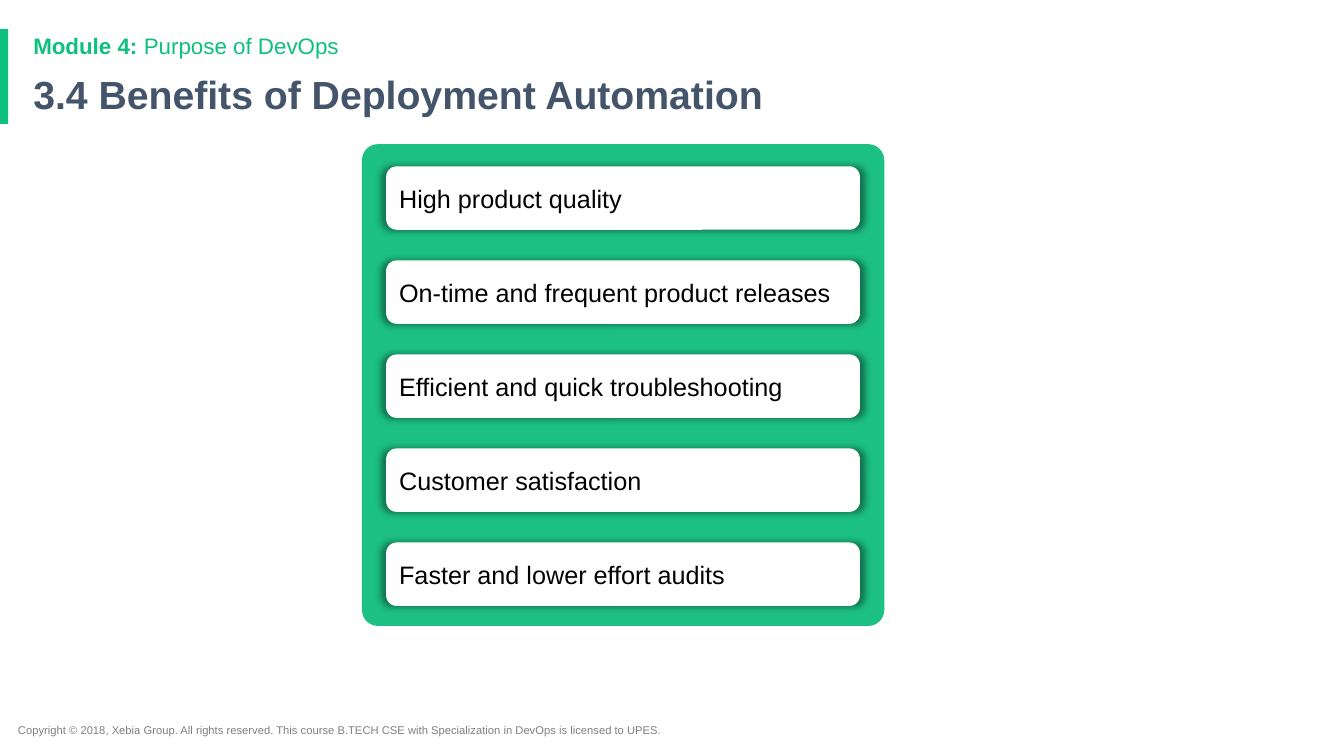
from lxml import etree
from pptx import Presentation
from pptx.dml.color import RGBColor
from pptx.enum import shapes, text
from pptx.oxml import parse_xml
from pptx.oxml.ns import nsdecls, qn
from pptx.util import Inches, Pt

TITLE = [("3.4 Benefits of Deployment Automation", True)]
MODULE = [("Module 4: ", True), ("Purpose of DevOps", False)]
LEGAL = [("Copyright © 2018, Xebia Group. All rights reserved. This course B.TECH CSE "
          "with Specialization in DevOps is licensed to UPES.", False)]
GAINS = [
    "High product quality",
    "On-time and frequent product releases",
    "Efficient and quick troubleshooting",
    "Customer satisfaction",
    "Faster and lower effort audits",
]
HUES = {"bar": "0EC07D", "panel": "1CC083", "card": "FFFFFF",
        "title": "44546A", "legal": "7F7F7F", "ink": "000000"}
PANEL = (3.59, 1.43, 5.18, 4.78)
CARD = (3.83, 1.65, 4.7, 0.63)
STEP = 0.933
GLOW = (f'<a:effectLst {nsdecls("a")}>'
        '<a:outerShdw blurRad="63500" sx="102000" sy="102000" algn="ctr" rotWithShape="0">'
        '<a:srgbClr val="000000"><a:alpha val="40000"/></a:srgbClr>'
        '</a:outerShdw></a:effectLst>')


def place(shape, box):
    for name, size in zip(("left", "top", "width", "height"), box):
        setattr(shape, name, Inches(size))


def block(kind, box, hue, round_by=None):
    shape = slide.shapes.add_shape(kind, *map(Inches, box))
    shape.shadow.inherit = False
    shape.fill.solid()
    shape.fill.fore_color.rgb = RGBColor.from_string(HUES[hue])
    shape.line.fill.background()
    if round_by is not None:
        shape.adjustments[0] = round_by
    return shape


def write(shape, runs, size, hue, spacing=1.0):
    frame = shape.text_frame
    for name, value in {"word_wrap": True, "auto_size": text.MSO_AUTO_SIZE.NONE,
                        "vertical_anchor": text.MSO_ANCHOR.MIDDLE}.items():
        setattr(frame, name, value)
    para = frame.paragraphs[0]
    for name, value in {"alignment": text.PP_ALIGN.LEFT, "line_spacing": spacing,
                        "space_before": Pt(0)}.items():
        setattr(para, name, value)
    for words, bold in runs:
        run = para.add_run()
        run.text = words
        for name, value in {"name": "Arial", "size": Pt(size), "bold": bold}.items():
            setattr(run.font, name, value)
        run.font.color.rgb = RGBColor.from_string(HUES[hue])
    return para


deck = Presentation()
deck.slide_width, deck.slide_height = Inches(13.33), Inches(7.5)
slide = deck.slides.add_slide(deck.slide_layouts[1])

title, module = slide.shapes.title, slide.placeholders[1]
place(title, (0.23, 0.69, 11.5, 0.54))
write(title, TITLE, 28, "title", 0.9)
place(module, (0.23, 0.3, 11.5, 0.33))
props = write(module, MODULE, 16, "bar", 0.9)._p.get_or_add_pPr()
props.set("marL", "0")
props.set("indent", "0")
etree.SubElement(props, qn("a:buNone"))

block(shapes.MSO_SHAPE.RECTANGLE, (0, 0.29, 0.08, 0.94), "bar")
legal = slide.shapes.add_textbox(*map(Inches, (0.08, 7.12, 7.13, 0.24)))
write(legal, LEGAL, 8, "legal")

block(shapes.MSO_SHAPE.ROUNDED_RECTANGLE, PANEL, "panel", 0.033)
left, top, width, height = CARD
for row, gain in enumerate(GAINS):
    card = block(shapes.MSO_SHAPE.ROUNDED_RECTANGLE,
                 (left, top + row * STEP, width, height), "card", 0.167)
    props = card._element.spPr
    props.replace(props.find(qn("a:effectLst")), parse_xml(GLOW))
    write(card, [(gain, False)], 18, "ink")

deck.save("out.pptx")
